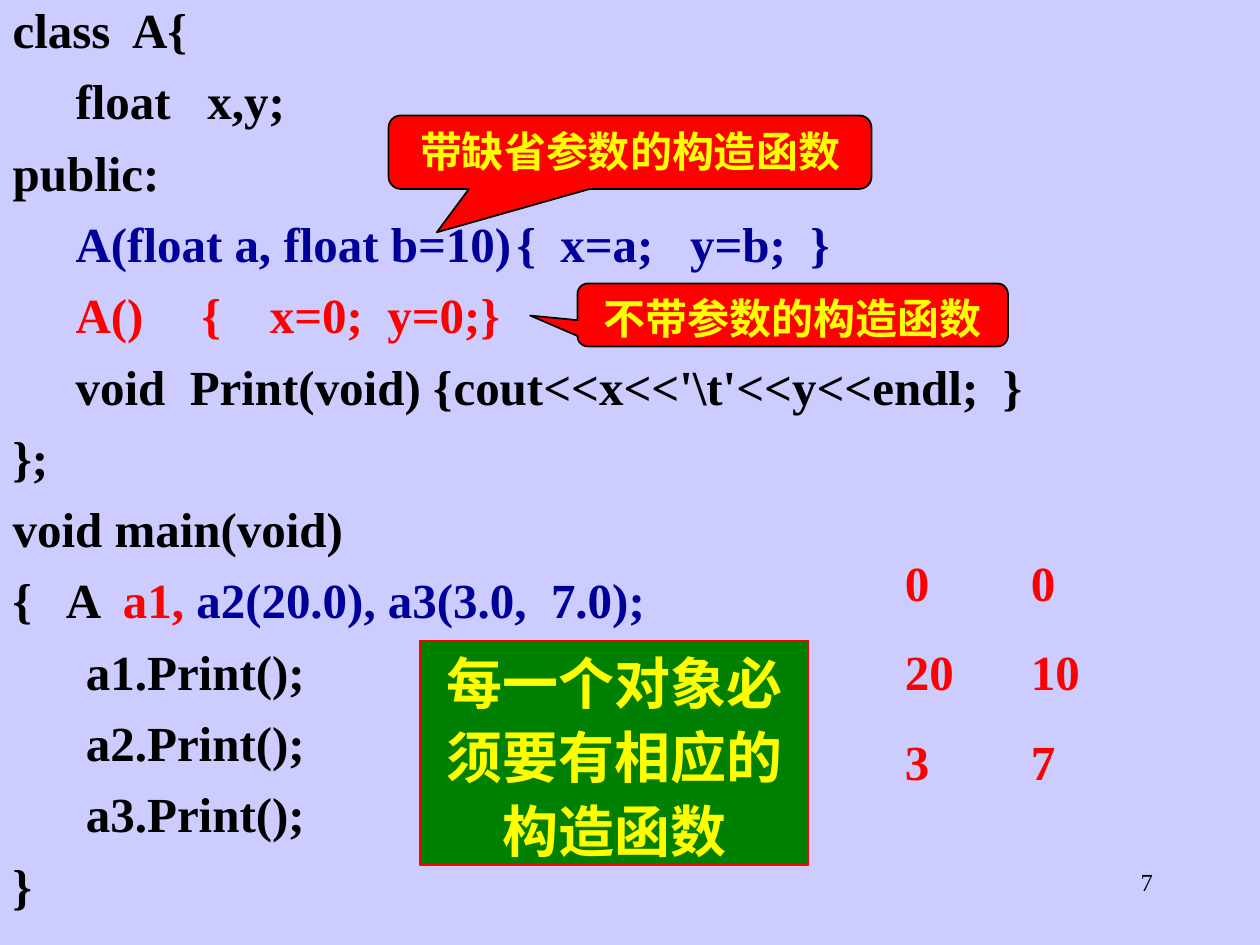
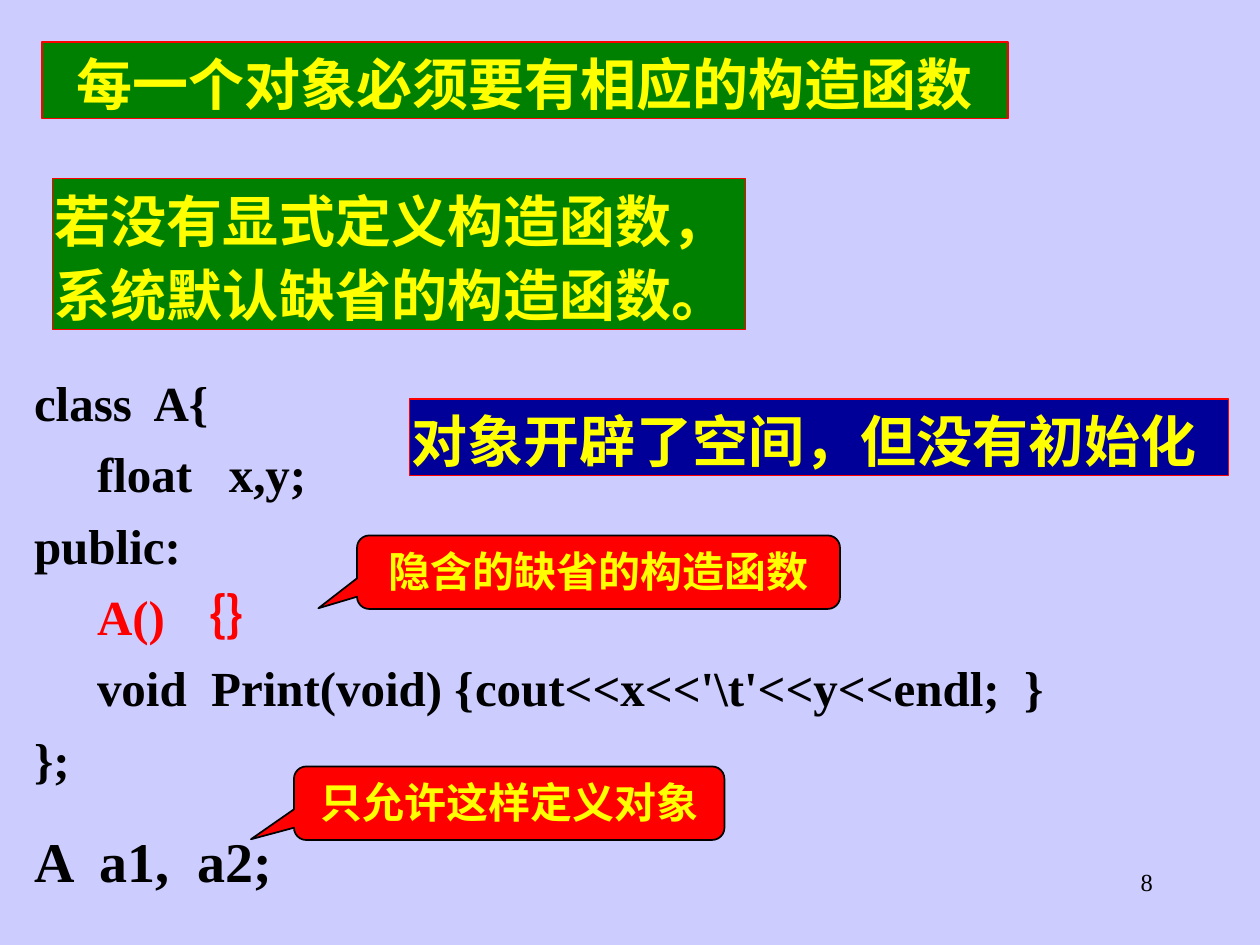
from lxml.etree import SubElement
from pptx import Presentation
from pptx.dml.color import RGBColor
from pptx.enum.shapes import MSO_SHAPE as Shape
from pptx.enum.text import MSO_ANCHOR as Anchor, MSO_AUTO_SIZE as AutoSize, PP_ALIGN as Align
from pptx.oxml.ns import qn
from pptx.util import Inches, Pt

LAVENDER = RGBColor(0xCC, 0xCC, 0xFF)
BLACK = RGBColor(0, 0, 0)
RED = RGBColor(0xFF, 0, 0)
GREEN = RGBColor(0, 0x80, 0)
NAVY = RGBColor(0, 0, 0x99)
YELLOW = RGBColor(0xFF, 0xFF, 0)

FONT = "Times New Roman"
WIDTH, HEIGHT = Inches(10), Inches(7.5)
COLUMNS, ROWS = 120, 90
TAB_STOPS = 8
WIDE_INSET = (0.1, 0.05)
TIGHT_INSET = (0.02, 0.01)

RULE = "每一个对象必须要有相应的构造函数"
CLASS_HEAD = ["class  A{", "\tfloat   x,y;", "public:"]
CLASS_TAIL = ["\tvoid  Print(void) {\tcout<<x<<'\\t'<<y<<endl;  }", "};"]


def grid(column, row, columns, rows):
    """Turn grid columns and rows into left, top, width and height."""
    return (int(WIDTH * column / COLUMNS), int(HEIGHT * row / ROWS),
            int(WIDTH * columns / COLUMNS), int(HEIGHT * rows / ROWS))


def place(part, box):
    """Move a part to its grid box."""
    part.left, part.top, part.width, part.height = grid(*box)
    return part


def set_tabs(paragraph, indent):
    """Give a paragraph a hanging indent, no bullet and a tab every inch."""
    properties = paragraph._p.get_or_add_pPr()
    properties.set("marL", str(Inches(indent)))
    properties.set("indent", str(-Inches(indent)))
    SubElement(properties, qn("a:buNone"))
    stops = SubElement(properties, qn("a:tabLst"))
    for inch in range(TAB_STOPS):
        SubElement(stops, qn("a:tab"), pos=str(Inches(inch)), algn="l")


def write(part, lines, size, color, inset=TIGHT_INSET, align=Align.LEFT,
          spacing=1.0, before=0, bold=True, indent=0):
    """Write lines, each a string or a list of (text, colour) pieces."""
    frame = part.text_frame
    frame.word_wrap = True
    frame.auto_size = AutoSize.NONE
    frame.vertical_anchor = Anchor.TOP
    frame.margin_left = frame.margin_right = Inches(inset[0])
    frame.margin_top = frame.margin_bottom = Inches(inset[1])
    for number, line in enumerate(lines):
        paragraph = frame.add_paragraph() if number else frame.paragraphs[0]
        paragraph.alignment = align
        paragraph.line_spacing = spacing
        paragraph.space_before = Pt(before)
        set_tabs(paragraph, indent)
        for text, tint in [(line, color)] if isinstance(line, str) else line:
            run = paragraph.add_run()
            run.text = text
            run.font.name, run.font.size, run.font.bold = FONT, Pt(size), bold
            run.font.color.rgb = tint


def paint(part, fill, line):
    """Fill and outline a part."""
    part.fill.solid()
    part.fill.fore_color.rgb = fill
    part.line.color.rgb = line
    part.line.width = Pt(1)


def banner(part, text, fill, align=Align.LEFT):
    """Make a part a red-edged band with large yellow text."""
    paint(part, fill, RED)
    write(part, [text], 32, YELLOW, align=align, spacing=1.1, before=20)


def remark(slide, box, text, fill):
    """Add a banner that is not the title."""
    band = slide.shapes.add_shape(Shape.RECTANGLE, *grid(*box))
    band.shadow.inherit = False
    banner(band, text, fill)


def callout(slide, box, text, tip):
    """Add a red callout; tip is its pointer as shares of the box from its centre."""
    bubble = slide.shapes.add_shape(Shape.ROUNDED_RECTANGULAR_CALLOUT, *grid(*box))
    bubble.shadow.inherit = False
    bubble.adjustments[0], bubble.adjustments[1] = tip
    paint(bubble, RED, BLACK)
    write(bubble, [text], 24, YELLOW, align=Align.CENTER, spacing=1.1, before=15)


def text_area(slide, box, lines, size, color, **style):
    """Add plain text in a grid box."""
    write(slide.shapes.add_textbox(*grid(*box)), lines, size, color, **style)


def code_slide(deck, page, rule_box, code_box, code, inset):
    """Add a slide with the rule as title, a code listing and a page number."""
    slide = deck.slides.add_slide(deck.slide_layouts[1])
    banner(place(slide.shapes.title, rule_box), RULE, GREEN, Align.CENTER)
    listing = place(slide.placeholders[1], code_box)
    write(listing, code, 28, BLACK, inset, spacing=0.9, before=10.5)
    text_area(slide, (86, 82, 25, 6), [str(page)], 14, BLACK,
              inset=WIDE_INSET, align=Align.RIGHT, bold=False)
    return slide


def overloaded_constructors(deck):
    """Show a class with two constructors and its output."""
    constructors = [
        [("\t", BLACK), ("A(float a, float b=10)\t{  x=a;   y=b;  }", NAVY)],
        [("\t", BLACK), ("A()\t{    x=0;  y=0;}", RED)],
    ]
    program = [
        "void main(void)",
        [("{   A  ", BLACK), ("a1,", RED), (" a2(20.0), a3(3.0,  7.0);", NAVY)],
        *(f"      a{number}.Print();" for number in (1, 2, 3)),
        "}",
    ]
    code = CLASS_HEAD + constructors + CLASS_TAIL + program
    slide = code_slide(deck, 7, (40, 61, 37, 21.4), (0, 0, 117, 87.7), code, WIDE_INSET)
    output = [f"{x}\t\t{y}" for x, y in ((0, 0), (20, 10), (3, 7))]
    text_area(slide, (85, 52, 27, 23.9), output, 28, RED,
              inset=WIDE_INSET, before=17.5, indent=0.5)
    callout(slide, (37, 11, 46, 7), "带缺省参数的构造函数", (-0.4, 1.09))
    callout(slide, (55, 27, 41, 6), "不带参数的构造函数", (-0.61, 0.01))


def default_constructor(deck):
    """Show a class that relies on the implicit constructor."""
    code = CLASS_HEAD + [[("\t", BLACK), ("A() ｛｝\t", RED)]] + CLASS_TAIL
    slide = code_slide(deck, 8, (4, 4, 92, 7.3), (3, 36, 112, 39.2), code, TIGHT_INSET)
    remark(slide, (5, 17, 66, 14.4), "若没有显式定义构造函数，系统默认缺省的构造函数。", GREEN)
    callout(slide, (34, 51, 46, 7), "隐含的缺省的构造函数", (-0.58, 0.49))
    text_area(slide, (3, 78, 70, 7.3), ["A  a1,  a2;"], 32, BLACK, spacing=1.1, before=20)
    callout(slide, (28, 73, 41, 7), "只允许这样定义对象", (-0.6, 0.49))
    remark(slide, (39, 38, 78, 7.3), "对象开辟了空间，但没有初始化", NAVY)


def main():
    """Build and save the deck."""
    deck = Presentation()
    deck.slide_width, deck.slide_height = WIDTH, HEIGHT
    backdrop = deck.slide_master.background.fill
    backdrop.solid()
    backdrop.fore_color.rgb = LAVENDER
    overloaded_constructors(deck)
    default_constructor(deck)
    deck.save("out.pptx")


if __name__ == "__main__":
    main()
